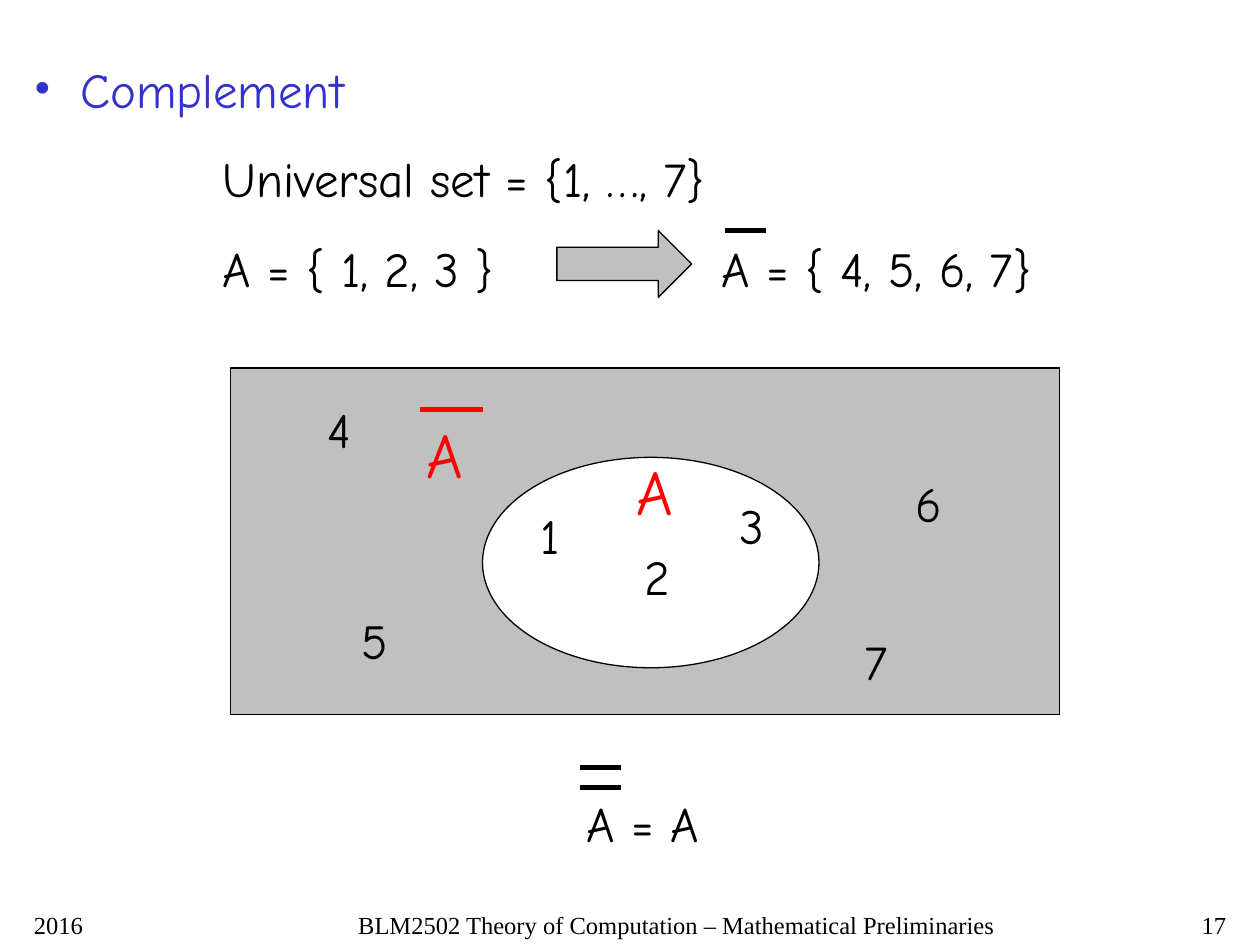
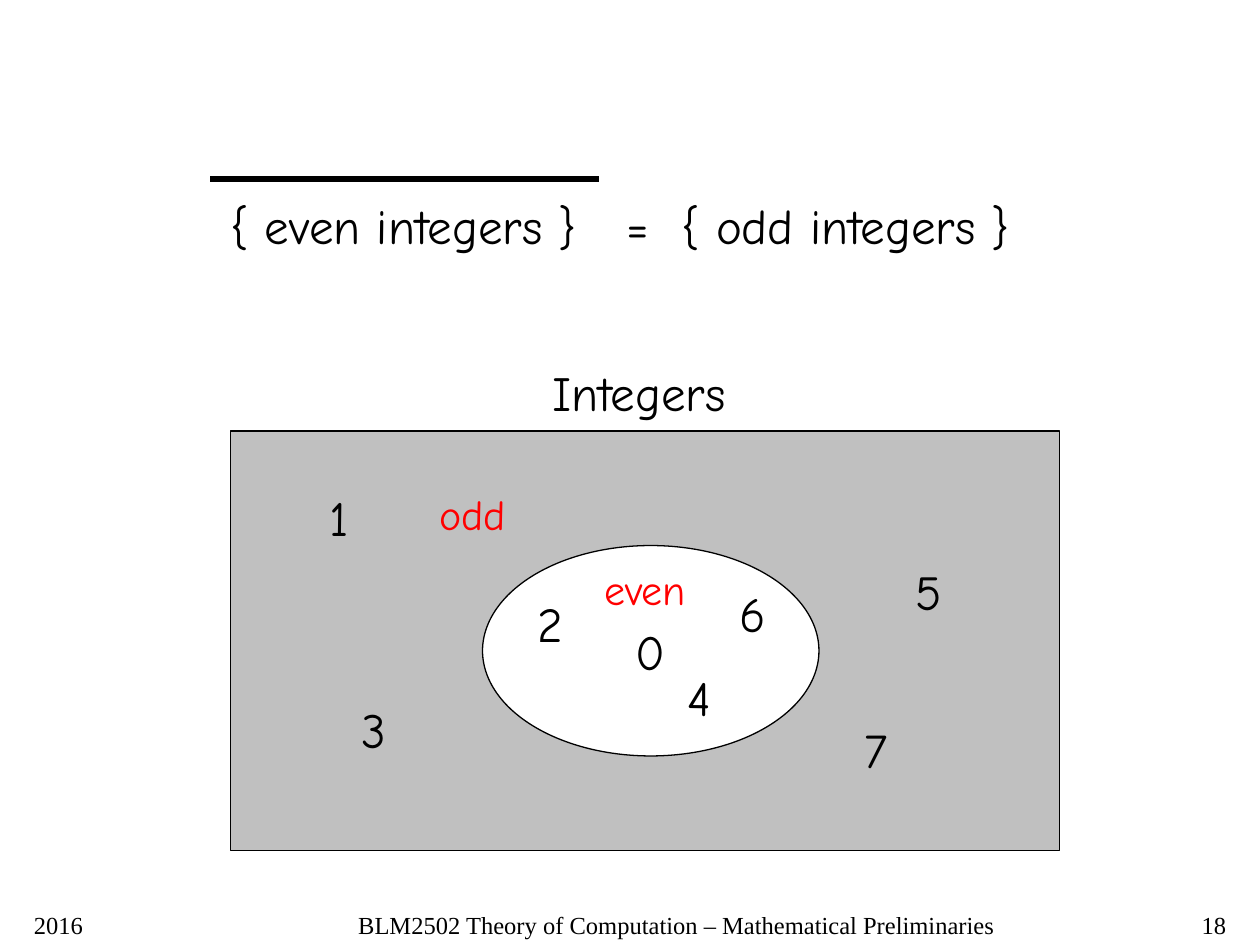
from dataclasses import dataclass

from lxml.etree import SubElement
from pptx import Presentation
from pptx.dml.color import RGBColor
from pptx.enum.shapes import MSO_CONNECTOR, MSO_SHAPE
from pptx.enum.text import MSO_ANCHOR, PP_ALIGN
from pptx.oxml.ns import qn
from pptx.util import Inches, Pt


@dataclass(frozen=True)
class Theme:
    """Colours, fonts and type sizes of the deck."""
    ink: RGBColor = RGBColor(0x00, 0x00, 0x00)
    heading: RGBColor = RGBColor(0x33, 0x33, 0xCC)
    accent: RGBColor = RGBColor(0xFF, 0x00, 0x00)
    universe: RGBColor = RGBColor(0xC0, 0xC0, 0xC0)
    paper: RGBColor = RGBColor(0xFF, 0xFF, 0xFF)
    hand: str = "Comic Neue"
    serif: str = "Times New Roman"
    body: int = 28
    set_name: int = 36
    category: int = 24
    footer: int = 14
    paragraph_gap: float = 17.5
    outline: float = 0.75
    overbar: float = 3


THEME = Theme()
COURSE = "BLM2502 Theory of Computation – Mathematical Preliminaries"
OUTSIDE_SLOTS = [(2.69, -0.51), (2.97, 1.17), (7.37, 0.08), (6.95, 1.33)]
INSIDE_SLOTS = [(4.37, 0.33), (5.97, 0.25)]


def style(paragraph, size=THEME.body, color=THEME.ink, face=THEME.hand):
    """Set the font of a whole paragraph."""
    font = paragraph.font
    font.size, font.name = Pt(size), face
    font.color.rgb = color


def add_frame(slide, left, top, width, height, wrap=True):
    """Add a text box and return its text frame."""
    frame = slide.shapes.add_textbox(
        Inches(left), Inches(top), Inches(width), Inches(height)).text_frame
    frame.word_wrap = wrap
    return frame


def add_text(slide, text, left, top, width, height, align=PP_ALIGN.LEFT, wrap=True, **look):
    """Add a box with one paragraph."""
    paragraph = add_frame(slide, left, top, width, height, wrap).paragraphs[0]
    paragraph.text, paragraph.alignment = text, align
    style(paragraph, **look)


def add_label(slide, text, center, top, width=0.4, height=0.57, **look):
    """Add a short label centred on a horizontal position."""
    add_text(slide, text, center - width / 2, top, width, height,
             PP_ALIGN.CENTER, wrap=False, **look)


def add_bullet(paragraph, hanging, color):
    """Give a paragraph a coloured round bullet."""
    properties = paragraph._p.get_or_add_pPr()
    properties.set("marL", str(Inches(hanging)))
    properties.set("indent", str(Inches(-hanging)))
    bullet_color = SubElement(properties, qn("a:buClr"))
    SubElement(bullet_color, qn("a:srgbClr"), val=str(color))
    SubElement(properties, qn("a:buFont"), typeface=THEME.serif)
    SubElement(properties, qn("a:buChar"), char="•")


def add_statements(slide, lines, stops, left, top, width, height):
    """Add lines of set notation aligned on tab stops in inches."""
    frame = add_frame(slide, left, top, width, height)
    for index, line in enumerate(lines):
        statement = frame.add_paragraph() if index else frame.paragraphs[0]
        statement.text = line
        if index:
            statement.space_before = Pt(THEME.paragraph_gap)
        tabs = SubElement(statement._p.get_or_add_pPr(), qn("a:tabLst"))
        for stop in stops:
            SubElement(tabs, qn("a:tab"), pos=str(Inches(stop)), algn="l")
        style(statement)


def add_outlined(slide, kind, left, top, width, height, fill):
    """Add a filled preset shape with a thin outline."""
    shape = slide.shapes.add_shape(
        kind, Inches(left), Inches(top), Inches(width), Inches(height))
    shape.shadow.inherit = False
    shape.fill.solid()
    shape.fill.fore_color.rgb = fill
    shape.line.color.rgb = THEME.ink
    shape.line.width = Pt(THEME.outline)
    return shape


def add_overbar(slide, left, top, length, color=THEME.ink):
    """Draw the complement bar above an expression."""
    bar = slide.shapes.add_connector(
        MSO_CONNECTOR.STRAIGHT, Inches(left), Inches(top),
        Inches(left + length), Inches(top))
    bar.line.color.rgb = color
    bar.line.width = Pt(THEME.overbar)
    SubElement(bar._element.spPr, qn("a:effectLst"))


def add_venn(slide, top, height, set_top, outside, inside):
    """Draw a universe with one set and its members; return the set."""
    add_outlined(slide, MSO_SHAPE.RECTANGLE, 1.83, top, 6.58, height, THEME.universe)
    subset = add_outlined(slide, MSO_SHAPE.OVAL, 3.83, set_top, 2.67, 1.67, THEME.paper)
    for member, (center, offset) in zip(outside + inside, OUTSIDE_SLOTS + INSIDE_SLOTS):
        add_label(slide, member, center, set_top + offset)
    return subset


def add_footer(slide, number):
    """Add the year, course name and slide number."""
    for text, left, width, align in (
            ("2016", 0.17, 1.75, PP_ALIGN.LEFT),
            (COURSE, 2.33, 6.08, PP_ALIGN.CENTER),
            (str(number), 7.75, 2.08, PP_ALIGN.RIGHT)):
        add_text(slide, text, left, 7.17, width, 0.33, align,
                 size=THEME.footer, face=THEME.serif)


def add_heading(slide, text):
    """Add the bulleted heading."""
    heading = add_frame(slide, 0.17, 0.42, 9.67, 0.57).paragraphs[0]
    heading.text = text
    add_bullet(heading, 0.37, THEME.heading)
    style(heading, color=THEME.heading)


def build_complement(slide):
    """Build the definition of the complement."""
    add_venn(slide, 2.92, 2.75, 3.63, ["4", "5", "6", "7"], ["1", "3"])
    add_label(slide, "2", 5.22, 4.29)
    add_heading(slide, "Complement")
    add_statements(
        slide, ["Universal set = {1, …, 7}", "A = { 1, 2, 3 }\tA = { 4, 5, 6, 7}"],
        [3.96], 1.67, 1.13, 8.17, 1.28)
    add_outlined(slide, MSO_SHAPE.RIGHT_ARROW, 4.42, 1.83, 1.07, 0.53, THEME.universe)
    add_overbar(slide, 5.75, 1.83, 0.33)
    for center, top in ((3.53, 3.25), (5.2, 3.54)):
        add_label(slide, "A", center, top, 0.49, 0.7,
                  size=THEME.set_name, color=THEME.accent)
    add_overbar(slide, 3.33, 3.25, 0.5, THEME.accent)
    add_label(slide, "A = A", 5.1, 6.25, 1.09)
    for top in (6.09, 6.25):
        add_overbar(slide, 4.6, top, 0.33)


def build_integers(slide):
    """Build the example of even and odd integers."""
    evens = add_venn(slide, 3.42, 3.33, 4.33, ["1", "3", "5", "7"], ["2", "6"])
    zero_frame = evens.text_frame
    zero_frame.word_wrap = False
    zero_frame.vertical_anchor = MSO_ANCHOR.MIDDLE
    zero = zero_frame.paragraphs[0]
    zero.text, zero.alignment = "0", PP_ALIGN.CENTER
    style(zero)
    add_label(slide, "4", 5.55, 5.25)
    for name, center, top, width in (("even", 5.12, 4.42, 0.86), ("odd", 3.75, 3.83, 0.73)):
        add_label(slide, name, center, top, width, 0.5,
                  size=THEME.category, color=THEME.accent)
    add_statements(slide, ["{ even integers }\t=\t{ odd integers }"],
                   [3.14, 3.58], 1.73, 1.5, 7.18, 0.57)
    add_overbar(slide, 1.67, 1.42, 3.08)
    add_label(slide, "Integers", 5.07, 2.83, 1.59)


def main():
    """Build and save the deck."""
    deck = Presentation()
    deck.slide_width, deck.slide_height = Inches(10), Inches(7.5)
    for number, build in enumerate((build_complement, build_integers), start=17):
        slide = deck.slides.add_slide(deck.slide_layouts[6])
        build(slide)
        add_footer(slide, number)
    deck.save("out.pptx")


if __name__ == "__main__":
    main()
